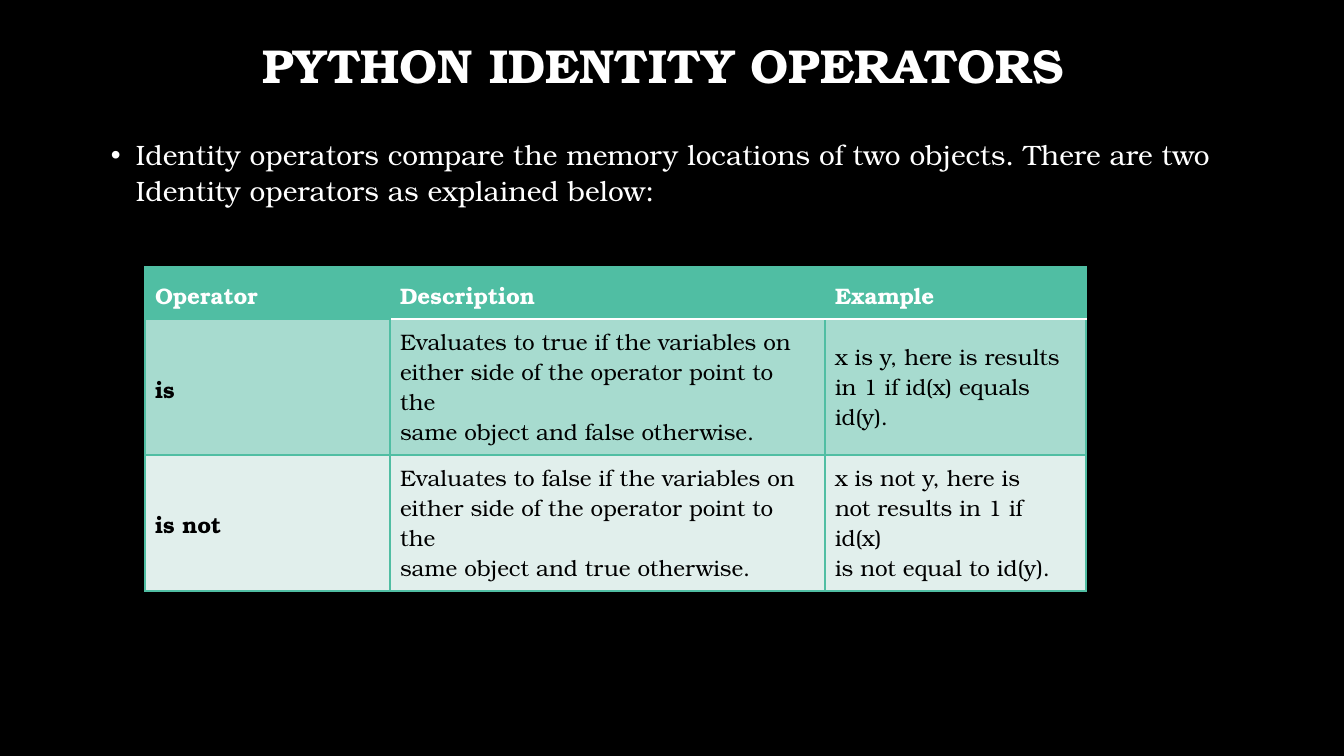
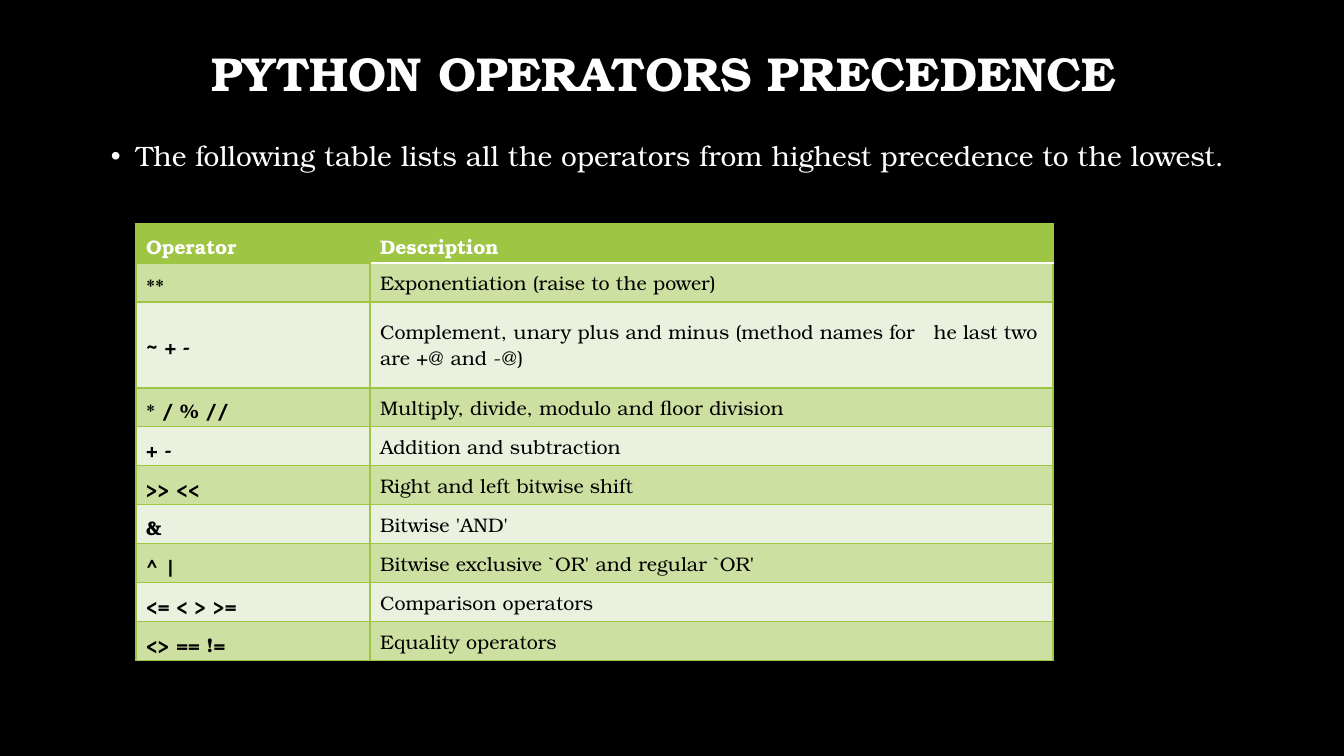
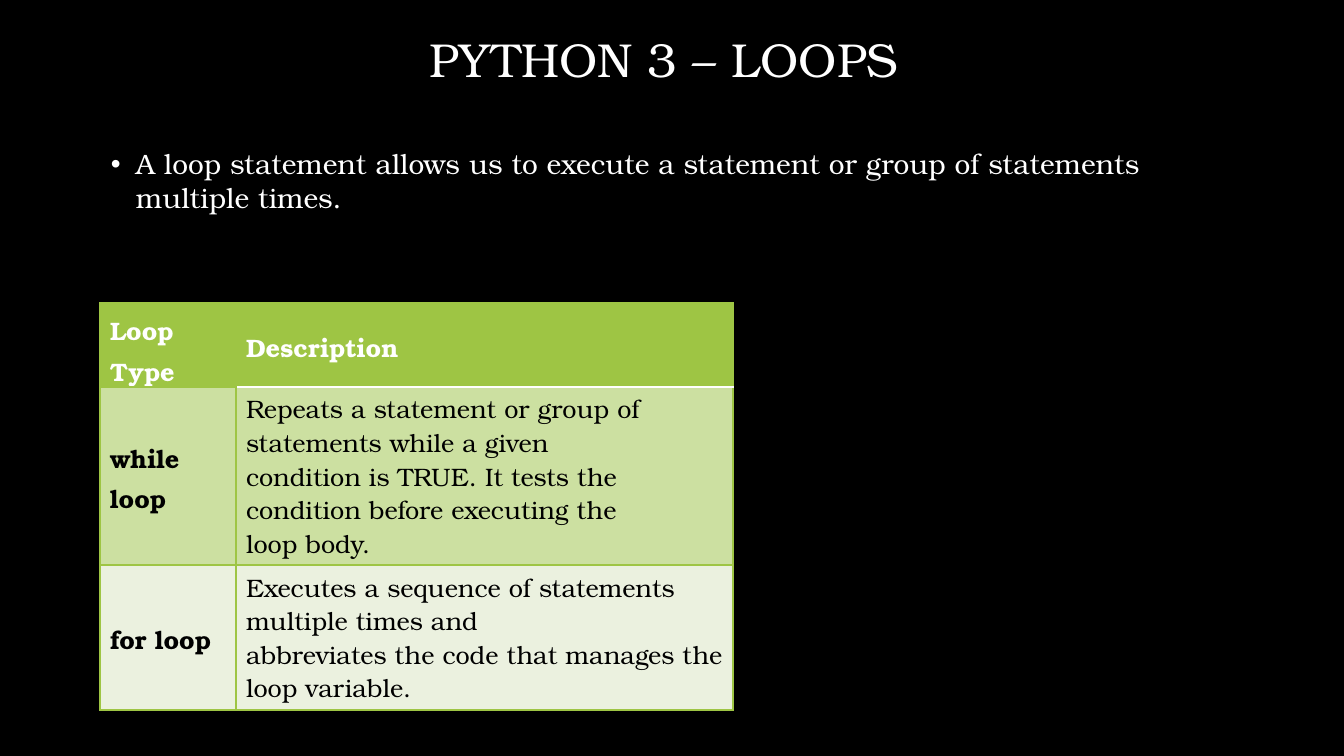
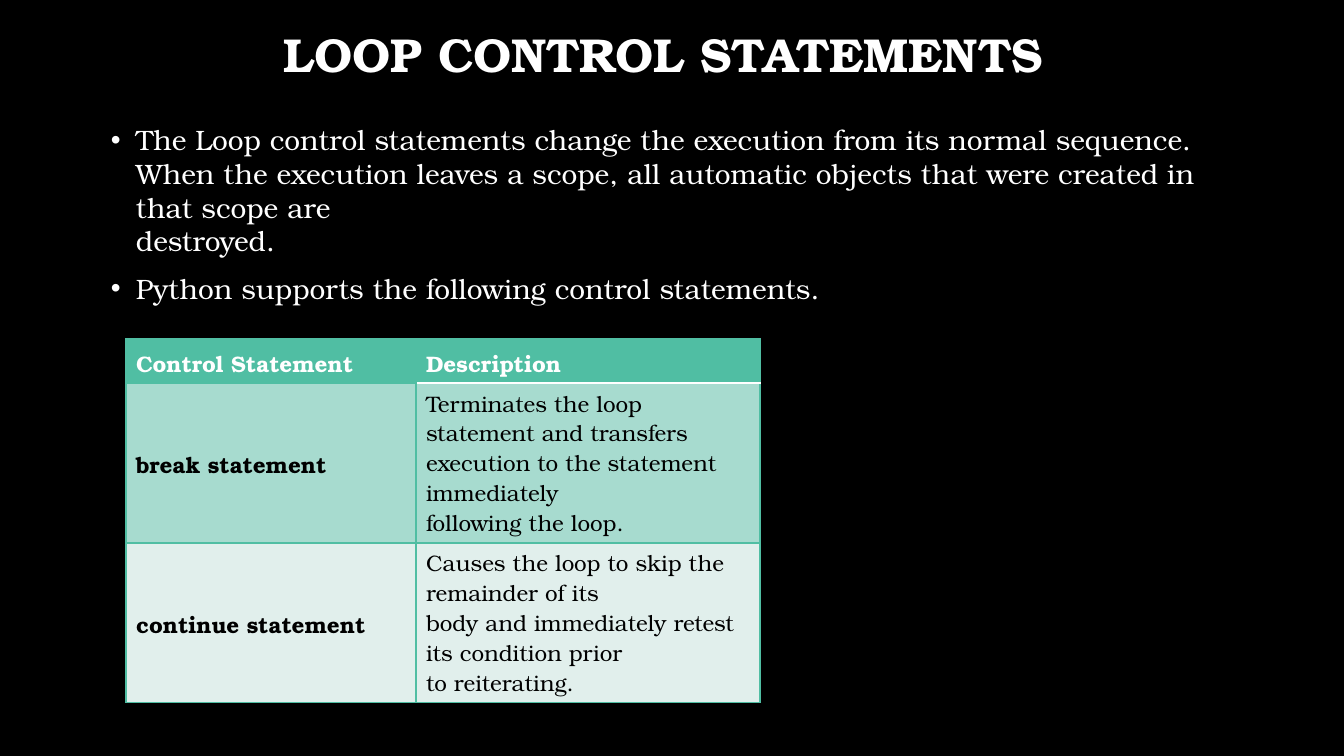
from collections import namedtuple
from dataclasses import dataclass

from lxml.etree import SubElement
from pptx import Presentation
from pptx.dml.color import RGBColor
from pptx.enum.text import MSO_ANCHOR, PP_ALIGN
from pptx.oxml.ns import qn
from pptx.util import Emu, Pt

SCALE = 914400 / 100.8

Box = namedtuple("Box", "left top width height")
Accent = namedtuple("Accent", "strong band pale")
Grid = namedtuple("Grid", "left top columns heights size accent rows")


@dataclass(frozen=True)
class Theme:
    """Colours, font and type sizes shared by the slides."""

    font: str = "TeX Gyre Bonum"
    background: str = "000000"
    light: str = "FFFFFF"
    dark: str = "000000"
    title_size: int = 34
    body_size: int = 20
    label_spacing: float = 1.1
    teal: Accent = Accent("50BEA3", "A7DBCF", "E1EFEC")
    green: Accent = Accent("9EC544", "CCE0A1", "EBF1DF")


THEME = Theme()


def px(length):
    """Turn pixels into EMU."""
    return Emu(round(length * SCALE))


def style(para, size, color, bold=False, spacing=1.0):
    """Set the font and line spacing of a paragraph."""
    para.font.name = THEME.font
    para.font.size = Pt(size)
    para.font.bold = bold
    para.font.color.rgb = RGBColor.from_string(color)
    para.line_spacing = spacing


def add_text_frame(page, box):
    """Place a wrapping text box and return its frame."""
    frame = page.shapes.add_textbox(*map(px, box)).text_frame
    frame.word_wrap = True
    return frame


def add_title(page, box, text, bold):
    """Place the centred title."""
    frame = add_text_frame(page, box)
    frame.vertical_anchor = MSO_ANCHOR.MIDDLE
    para = frame.paragraphs[0]
    para.text = text
    para.alignment = PP_ALIGN.CENTER
    style(para, THEME.title_size, THEME.light, bold, 0.9)


def add_bullets(page, box, texts, spacing):
    """Place the bulleted paragraphs."""
    frame = add_text_frame(page, box)
    for index, text in enumerate(texts):
        para = frame.add_paragraph() if index else frame.paragraphs[0]
        para.text = text
        para.space_before = Pt(10)
        style(para, THEME.body_size, THEME.light, spacing=spacing)
        properties = para._p.get_or_add_pPr()
        properties.set("marL", str(px(25)))
        properties.set("indent", str(-px(25)))
        SubElement(properties, qn("a:buFont"), typeface="Arial")
        SubElement(properties, qn("a:buChar"), char="•")


def set_borders(cell, borders):
    """Draw the left, right, top and bottom borders of a cell."""
    properties = cell._tc.get_or_add_tcPr()
    for index, (side, (color, points)) in enumerate(zip("LRTB", borders)):
        line = SubElement(properties, qn(f"a:ln{side}"), w=str(Pt(points)))
        fill = SubElement(line, qn("a:solidFill"))
        SubElement(fill, qn("a:srgbClr"), val=color)
        properties.insert(index, line)


def fill_cell(cell, text, row, column, grid):
    """Write and colour one table cell by its row and column."""
    accent, header, label = grid.accent, row == 0, column == 0
    cell.vertical_anchor = MSO_ANCHOR.MIDDLE
    para = cell.text_frame.paragraphs[0]
    para.text = text
    marked = header or label
    style(para, grid.size, THEME.light if header else THEME.dark, marked,
          THEME.label_spacing if marked else 1.0)
    cell.fill.solid()
    color = accent.strong if header else accent.band if row % 2 else accent.pale
    cell.fill.fore_color.rgb = RGBColor.from_string(color)
    thin, thick = (accent.strong, 1), (accent.strong, 1.5)
    rule = thin if label else (THEME.light, 1.5)
    set_borders(cell, (
        thick if column == 1 and not header else thin,
        thick if label and not header else thin,
        rule if row == 1 else thin,
        rule if header else thin,
    ))


def add_grid(page, grid):
    """Place the table with its header row and label column."""
    box = Box(grid.left, grid.top, sum(grid.columns), sum(grid.heights))
    table = page.shapes.add_table(
        len(grid.rows), len(grid.columns), *map(px, box)).table
    table.horz_banding = False
    for column, width in zip(table.columns, grid.columns):
        column.width = px(width)
    for row, height in zip(table.rows, grid.heights):
        row.height = px(height)
    for row, texts in enumerate(grid.rows):
        for column, text in enumerate(texts):
            fill_cell(table.cell(row, column), text, row, column, grid)


def add_page(deck, title, title_span, bullets, body_span, grid, bold=True, spacing=1.0):
    """Add a slide with a title, bullets and a table."""
    page = deck.slides.add_slide(deck.slide_layouts[6])
    page.background.fill.solid()
    page.background.fill.fore_color.rgb = RGBColor.from_string(THEME.background)
    left, width = 101, 1141
    add_title(page, Box(left, title_span[0], width, title_span[1]), title, bold)
    add_bullets(page, Box(left, body_span[0], width, body_span[1]), bullets, spacing)
    add_grid(page, grid)


IDENTITY = Grid(145, 267, (245, 435, 261), (52, 136, 136), 16, THEME.teal, (
    ("Operator", "Description", "Example"),
    ("is",
     "Evaluates to true if the variables on\neither side of the operator point to the\n"
     "same object and false otherwise.",
     "x is y, here is results\nin 1 if id(x) equals\nid(y)."),
    ("is not",
     "Evaluates to false if the variables on\neither side of the operator point to the\n"
     "same object and true otherwise.",
     "x is not y, here is\nnot results in 1 if id(x)\nis not equal to id(y)."),
))

PRECEDENCE = Grid(136, 224, (234, 683), (39, 39, 86) + (39,) * 7, 14, THEME.green, (
    ("Operator", "Description"),
    ("**", "Exponentiation (raise to the power)"),
    ("~ + -", "Complement, unary plus and minus (method names for   he last two "
              "are +@ and -@)"),
    ("* / % //", "Multiply, divide, modulo and floor division"),
    ("+ -", "Addition and subtraction"),
    (">> <<", "Right and left bitwise shift"),
    ("&", "Bitwise 'AND'"),
    ("^ |", "Bitwise exclusive `OR' and regular `OR'"),
    ("<= < > >=", "Comparison operators"),
    ("<> == !=", "Equality operators"),
))

LOOPS = Grid(100, 303, (136, 497), (84, 178, 145), 18, THEME.green, (
    ("Loop Type", "Description"),
    ("while loop",
     "Repeats a statement or group of statements while a given\n"
     "condition is TRUE. It tests the condition before executing the\nloop body."),
    ("for loop",
     "Executes a sequence of statements multiple times and\n"
     "abbreviates the code that manages the loop variable."),
))

CONTROL = Grid(126, 339, (290, 344), (44, 160, 160), 16, THEME.teal, (
    ("Control Statement", "Description"),
    ("break statement",
     "Terminates the loop statement and transfers\n"
     "execution to the statement immediately\nfollowing the loop."),
    ("continue statement",
     "Causes the loop to skip the remainder of its\n"
     "body and immediately retest its condition prior\nto reiterating."),
))


def main():
    """Build and save the deck."""
    deck = Presentation()
    deck.slide_width, deck.slide_height = px(1344), px(756)
    add_page(deck, "PYTHON IDENTITY OPERATORS ", (24, 88), (
        "Identity operators compare the memory locations of two objects. "
        "There are two Identity operators as explained below:",
    ), (130, 119), IDENTITY, spacing=1.08)
    add_page(deck, "PYTHON OPERATORS PRECEDENCE ", (22, 109), (
        "The following table lists all the operators from highest precedence "
        "to the lowest.",
    ), (131, 81), PRECEDENCE, spacing=1.08)
    add_page(deck, "PYTHON 3 – LOOPS ", (13, 99), (
        "A loop statement allows us to execute a statement or group of "
        "statements multiple times.",
    ), (142, 131), LOOPS, bold=False)
    add_page(deck, "LOOP CONTROL STATEMENTS ", (17, 80), (
        "The Loop control statements change the execution from its normal "
        "sequence. When the execution leaves a scope, all automatic objects "
        "that were created in that scope are\ndestroyed.",
        "Python supports the following control statements.",
    ), (118, 226), CONTROL)
    deck.save("out.pptx")


if __name__ == "__main__":
    main()
